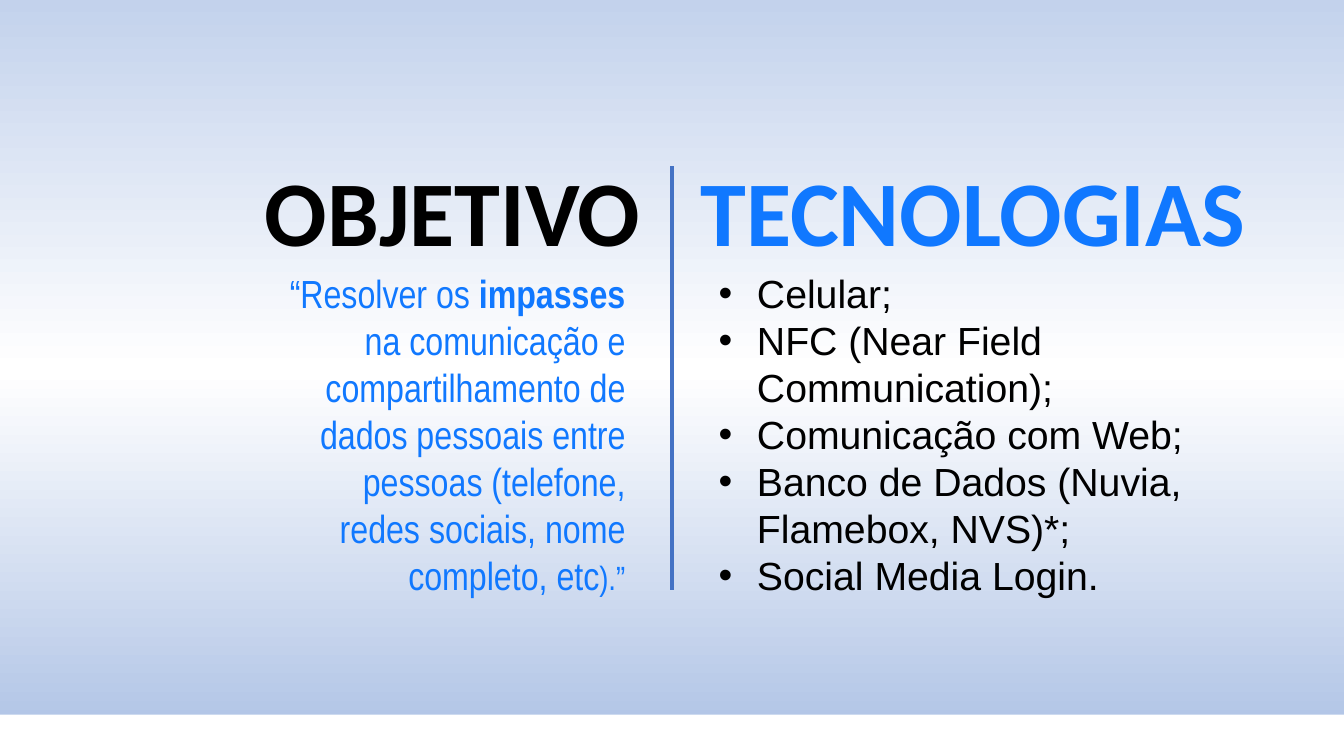
import dataclasses

import lxml.etree
import pptx
import pptx.dml.color
import pptx.enum.dml
import pptx.enum.shapes
import pptx.enum.text
import pptx.oxml
import pptx.oxml.ns
import pptx.util

WIDTH, HEIGHT = 13.33, 7.5
CENTER = WIDTH / 2
HEADING_TOP, BODY_TOP = 1.48, 2.62
HEADING_HEIGHT, BODY_HEIGHT = 1.21, 3.4
BULLET_INDENT = 0.38


@dataclasses.dataclass(frozen=True)
class Theme:
    """Colours, fonts and type sizes of the slide."""
    black: str = "000000"
    blue: str = "1078FF"
    divider: str = "4472C4"
    white: str = "FFFFFF"
    gradient: tuple = ((0, "ABC0E4"), (51, "FFFFFF"), (100, "C3D2EC"))
    heading_font: str = "Calibri"
    list_font: str = "Arial"
    quote_font: str = "Arial Narrow"
    heading_size: int = 66
    body_size: int = 28
    closing_size: int = 24


THEME = Theme()


def rgb(code):
    """Turn a hex code into a colour."""
    return pptx.dml.color.RGBColor.from_string(code)


def inches(*lengths):
    """Turn lengths in inches into slide units."""
    return [pptx.util.Inches(length) for length in lengths]


def paint_background(slide):
    """Fill the background with a gradient running from bottom to top."""
    fill = slide.background.fill
    fill.gradient()
    gradient = slide.background._cSld.find(".//" + pptx.oxml.ns.qn("a:gradFill"))
    stops = gradient.find(pptx.oxml.ns.qn("a:gsLst"))
    for stop in list(stops):
        stops.remove(stop)
    for percent, code in THEME.gradient:
        stop = lxml.etree.SubElement(stops, pptx.oxml.ns.qn("a:gs"), pos=str(percent * 1000))
        lxml.etree.SubElement(stop, pptx.oxml.ns.qn("a:srgbClr"), val=code)
    gradient.find(pptx.oxml.ns.qn("a:lin")).set("ang", str(270 * 60000))


def add_footer_band(slide, top):
    """Add the white band from top down to the slide's lower edge."""
    band = slide.shapes.add_shape(pptx.enum.shapes.MSO_SHAPE.RECTANGLE,
                                  *inches(0, top, WIDTH, HEIGHT - top))
    band.shadow.inherit = False
    band.fill.solid()
    band.fill.fore_color.rgb = rgb(THEME.white)
    band.line.fill.background()


def add_divider(slide, top, bottom):
    """Add the vertical line between the two columns."""
    divider = slide.shapes.add_connector(pptx.enum.shapes.MSO_CONNECTOR.STRAIGHT,
                                         *inches(CENTER, top, CENTER, bottom))
    divider.line.color.rgb = rgb(THEME.divider)
    divider.line.width = pptx.util.Pt(3)
    lxml.etree.SubElement(divider._element.spPr, pptx.oxml.ns.qn("a:effectLst"))


def add_text_frame(slide, left, top, width, height):
    """Add a wrapping text box and return its text frame."""
    frame = slide.shapes.add_textbox(*inches(left, top, width, height)).text_frame
    frame.word_wrap = True
    frame.auto_size = pptx.enum.text.MSO_AUTO_SIZE.SHAPE_TO_FIT_TEXT
    return frame


def add_run(paragraph, text, font, size, color, bold=False):
    """Append one formatted run to a paragraph."""
    run = paragraph.add_run()
    run.text = text
    run.font.name = font
    run.font.size = pptx.util.Pt(size)
    run.font.color.rgb = rgb(color)
    run.font.bold = bold


def add_heading(slide, text, left, width, color):
    """Add a column heading."""
    frame = add_text_frame(slide, left, HEADING_TOP, width, HEADING_HEIGHT)
    add_run(frame.paragraphs[0], text, THEME.heading_font, THEME.heading_size, color, True)


def add_bullet(paragraph):
    """Give a paragraph a round bullet with a hanging indent."""
    indent = pptx.util.Inches(BULLET_INDENT)
    properties = paragraph._p.get_or_add_pPr()
    properties.set("marL", str(indent))
    properties.set("indent", str(-indent))
    lxml.etree.SubElement(properties, pptx.oxml.ns.qn("a:buFont"), typeface=THEME.list_font)
    lxml.etree.SubElement(properties, pptx.oxml.ns.qn("a:buChar"), char="•")


def add_bullet_list(slide, items, left, width):
    """Add the bulleted list of a column."""
    frame = add_text_frame(slide, left, BODY_TOP, width, BODY_HEIGHT)
    for index, item in enumerate(items):
        paragraph = frame.add_paragraph() if index else frame.paragraphs[0]
        add_bullet(paragraph)
        add_run(paragraph, item, THEME.list_font, THEME.body_size, THEME.black)


def add_quote(slide, pieces, left, width):
    """Add a right-aligned quote from (text, size, bold) pieces."""
    quote = add_text_frame(slide, left, BODY_TOP, width, BODY_HEIGHT).paragraphs[0]
    quote.alignment = pptx.enum.text.PP_ALIGN.RIGHT
    for text, size, bold in pieces:
        add_run(quote, text, THEME.quote_font, size, THEME.blue, bold)


def main():
    """Build the slide and save it."""
    deck = pptx.Presentation()
    deck.slide_width, deck.slide_height = inches(WIDTH, HEIGHT)
    slide = deck.slides.add_slide(deck.slide_layouts[6])
    paint_background(slide)
    add_footer_band(slide, top=7.09)
    add_divider(slide, top=1.65, bottom=5.85)

    add_heading(slide, "TECNOLOGIAS", left=6.85, width=5.95, color=THEME.blue)
    add_bullet_list(slide, [
        "Celular;",
        "NFC (Near Field Communication);",
        "Comunicação com Web;",
        "Banco de Dados (Nuvia, Flamebox, NVS)*;",
        "Social Media Login.",
    ], left=7.03, width=6.14)

    add_heading(slide, "OBJETIVO", left=2.53, width=3.96, color=THEME.black)
    add_quote(slide, [
        ("“Resolver os ", THEME.body_size, False),
        ("impasses", THEME.body_size, True),
        (" na comunicação e compartilhamento de dados pessoais entre pessoas "
         "(telefone, redes sociais, nome completo, etc", THEME.body_size, False),
        (").”", THEME.closing_size, False),
    ], left=2.7, width=3.6)
    deck.save("out.pptx")


main()
